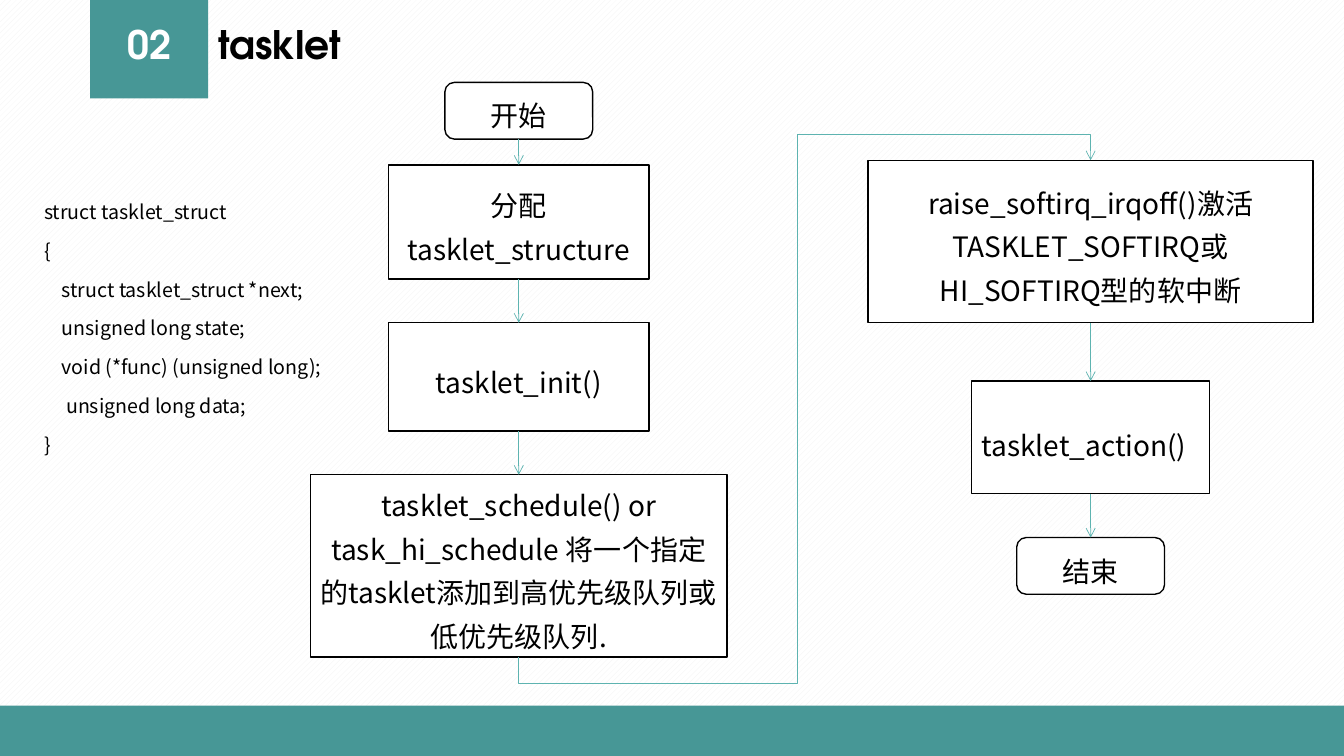
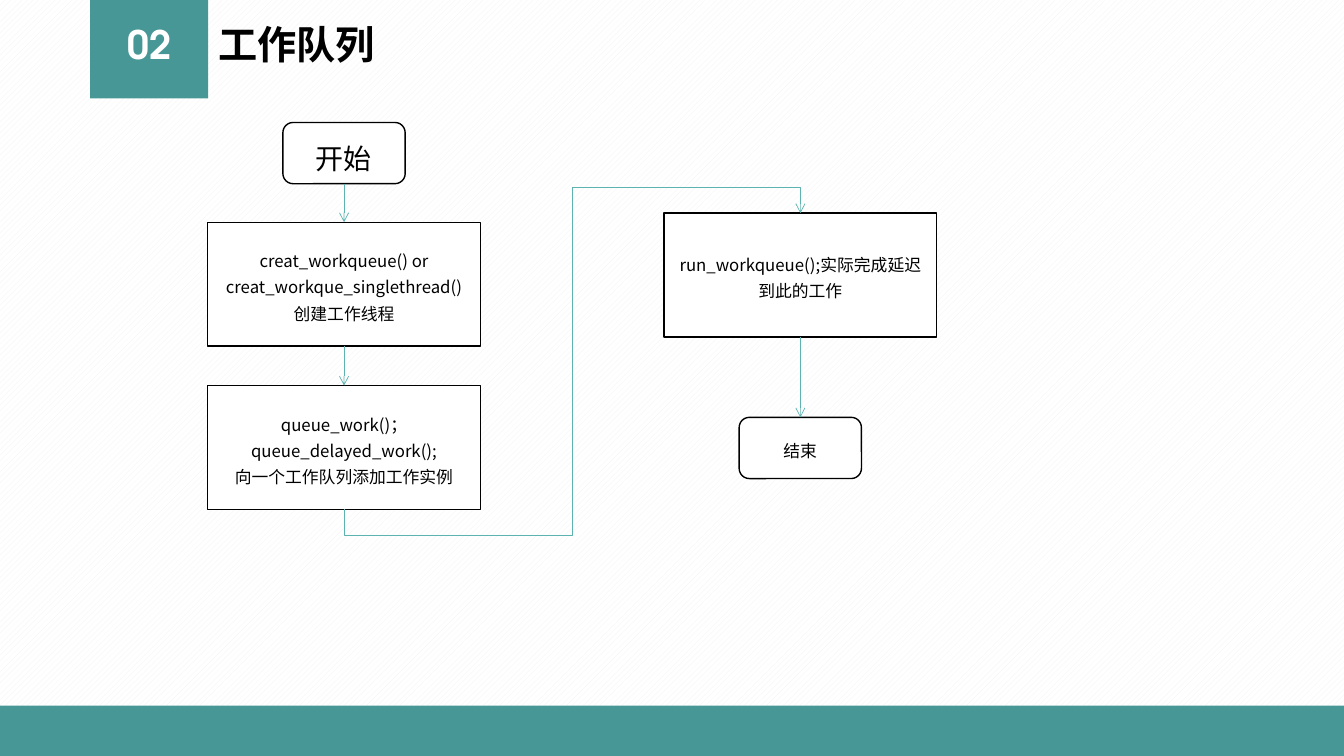
from lxml.etree import SubElement as Sub
from pptx import Presentation
from pptx.dml.color import RGBColor
from pptx.enum.dml import MSO_PATTERN as Pat
from pptx.enum.shapes import MSO_CONNECTOR as Conn, MSO_SHAPE as Geo
from pptx.enum.text import MSO_ANCHOR as Anchor, MSO_AUTO_SIZE as Fit, PP_ALIGN as Align
from pptx.oxml.ns import qn
from pptx.util import Inches, Pt

TEAL, MINT, INK, PAPER, HATCH = "479796", "5DB3B0", "000000", "FFFFFF", "F2F2F2"
HEAD, BODY = "TeX Gyre Adventor", "Noto Sans CJK SC"
WIDE, HIGH = Inches(13.333), Inches(7.5)

# Boxes are left, top, width, height in percent of the slide
TAG = (6.7, 0, 8.8, 13)
NAME = (15.5, 3.1, 38.9, 6.3)
FOOT = (0, 93.35, 100, 6.65)


def rgb(code):
    return RGBColor.from_string(code)


def area(box):
    x, y, w, h = box
    return [int(v * side / 100) for v, side in ((x, WIDE), (y, HIGH), (w, WIDE), (h, HIGH))]


def put(shape, text, size=20, color=INK, font=BODY, bold=False, align=Align.CENTER,
        lead=1.3, gap=0, anchor=Anchor.MIDDLE):
    frame = shape.text_frame
    frame.word_wrap, frame.auto_size = True, Fit.NONE
    frame.vertical_anchor = anchor
    for i, line in enumerate(text.split("\n")):
        para = frame.add_paragraph() if i else frame.paragraphs[0]
        para.alignment, para.line_spacing = align, lead
        para.space_before = Pt(gap if i else 0)
        run = para.add_run()
        run.text = line
        face = run.font
        face.size, face.bold, face.name = Pt(size), bold, font
        face.color.rgb = rgb(color)
        Sub(face._element, qn("a:ea"), typeface=font)


def block(slide, box, geo=Geo.RECTANGLE, fill=PAPER, edge=None):
    shape = slide.shapes.add_shape(geo, *area(box))
    shape.shadow.inherit = False
    shape.fill.solid()
    shape.fill.fore_color.rgb = rgb(fill)
    if edge:
        shape.line.color.rgb, shape.line.width = rgb(edge), Pt(1)
    else:
        shape.line.fill.background()
    return shape


def note(slide, box, text, **fmt):
    put(slide.shapes.add_textbox(*area(box)), text, **fmt)


def link(slide, a, b, geo=Conn.STRAIGHT):
    """Arrow from the bottom of a to the top of b."""
    line = slide.shapes.add_connector(geo, 0, 0, 0, 0)
    line.begin_connect(a, 2)
    line.end_connect(b, 0)
    line.line.color.rgb, line.line.width = rgb(MINT), Pt(0.5)
    Sub(line.line._get_or_add_ln(), qn("a:tailEnd"), type="arrow")
    Sub(line._element.spPr, qn("a:effectLst"))
    return line


def climb(slide, a, b, turn, stub=Inches(0.26)):
    """Arrow that leaves a downward, rises at the share turn and enters b from above."""
    line = link(slide, a, b, Conn.ELBOW)
    run, rise = line.end_x - line.begin_x, line.begin_y - line.end_y
    midx, midy = line.begin_x + run // 2, line.end_y + rise // 2
    line.left, line.top = midx - rise // 2, midy - run // 2
    line.width, line.height = rise, run
    props = line._element.spPr
    for key, val in (("rot", "5400000"), ("flipH", "1"), ("flipV", "1")):
        props.find(qn("a:xfrm")).set(key, val)
    geom = props.find(qn("a:prstGeom"))
    geom.set("prst", "bentConnector5")
    guides = geom.find(qn("a:avLst"))
    for i, share in enumerate((-stub / rise, turn, 1 + stub / rise), 1):
        Sub(guides, qn("a:gd"), name=f"adj{i}", fmla=f"val {round(share * 100000)}")


def stack(slide, box, steps):
    """Steps (text, width, gap above, height, format) centred in a box, joined by arrows."""
    x, y, w = box
    made = []
    for text, wide, gap, high, fmt in steps:
        y += gap
        geo = Geo.ROUNDED_RECTANGLE if text in ("开始", "结束") else Geo.RECTANGLE
        shape = block(slide, (x + (w - wide) / 2, y, wide, high), geo, edge=INK)
        put(shape, text, **fmt)
        if made:
            link(slide, made[-1], shape)
        made.append(shape)
        y += high
    return made


def flow(slide, left, right, turn):
    first, last = stack(slide, *left), stack(slide, *right)
    climb(slide, first[-1], last[0], turn)


def theme(deck, layout):
    # Hatched ground, tag and foot band shared by all slides
    fill = layout.background.fill
    fill.patterned()
    fill.pattern = Pat.WIDE_UPWARD_DIAGONAL
    fill.fore_color.rgb, fill.back_color.rgb = rgb(HATCH), rgb(PAPER)
    title = layout.placeholders[0]
    title.left, title.top, title.width, title.height = area(NAME)
    first = deck.slides.add_slide(layout)
    for box in (FOOT, TAG):
        layout.shapes.element.insert(2, block(first, box, fill=TEAL)._element)
    return first


def head(slide, text):
    style = dict(size=28, font=HEAD, bold=True, lead=0.9)
    put(slide.shapes.title, text, align=Align.LEFT, **style)
    note(slide, (TAG[0], NAME[1], TAG[2], NAME[3]), "02", color=PAPER, **style)


CODE = """struct tasklet_struct
{
    struct tasklet_struct *next;
    unsigned long state;
    void (*func) (unsigned long);
     unsigned long data;
}"""


def tasklet(slide):
    head(slide, "tasklet")
    note(slide, (2.55, 24.8, 23.6, 36.3), CODE, size=14, align=Align.LEFT, gap=6,
         anchor=Anchor.TOP)
    flow(slide,
         ((23.1, 10.9, 31), [
             ("开始", 11, 0, 7.5, {}),
             ("分配tasklet_structure", 19.4, 3.4, 15.1, {}),
             ("tasklet_init()", 19.4, 5.8, 14.3, {}),
             ("tasklet_schedule() or task_hi_schedule 将一个指定的tasklet"
              "添加到高优先级队列或低优先级队列.", 31, 5.8, 24.1, {})]),
         ((64.6, 21.2, 33.1), [
             ("raise_softirq_irqoff()激活TASKLET_SOFTIRQ或HI_SOFTIRQ型的软中断",
              33.1, 0, 21.5, {}),
             ("tasklet_action()", 17.7, 7.7, 14.9, dict(align=Align.LEFT, lead=1.5)),
             ("结束", 11, 5.8, 7.5, {})]),
         0.487)


def queue(slide):
    head(slide, "工作队列")
    small = dict(size=12)
    flow(slide,
         ((15.45, 16.2, 20.3), [
             ("开始", 9.1, 0, 8.1, {}),
             ("creat_workqueue() or creat_workque_singlethread()\n创建工作线程",
              20.3, 5.1, 16.4, small),
             ("queue_work()；\nqueue_delayed_work();\n向一个工作队列添加工作实例",
              20.3, 5.2, 16.4, small)]),
         ((49.4, 28.2, 20.3), [
             ("run_workqueue();实际完成延迟到此的工作", 20.3, 0, 16.4, small),
             ("结束", 9.1, 10.6, 8.1, small)]),
         0.5)


def main():
    deck = Presentation()
    deck.slide_width, deck.slide_height = WIDE, HIGH
    layout = deck.slide_layouts[5]
    tasklet(theme(deck, layout))
    queue(deck.slides.add_slide(layout))
    deck.save("out.pptx")


if __name__ == "__main__":
    main()
